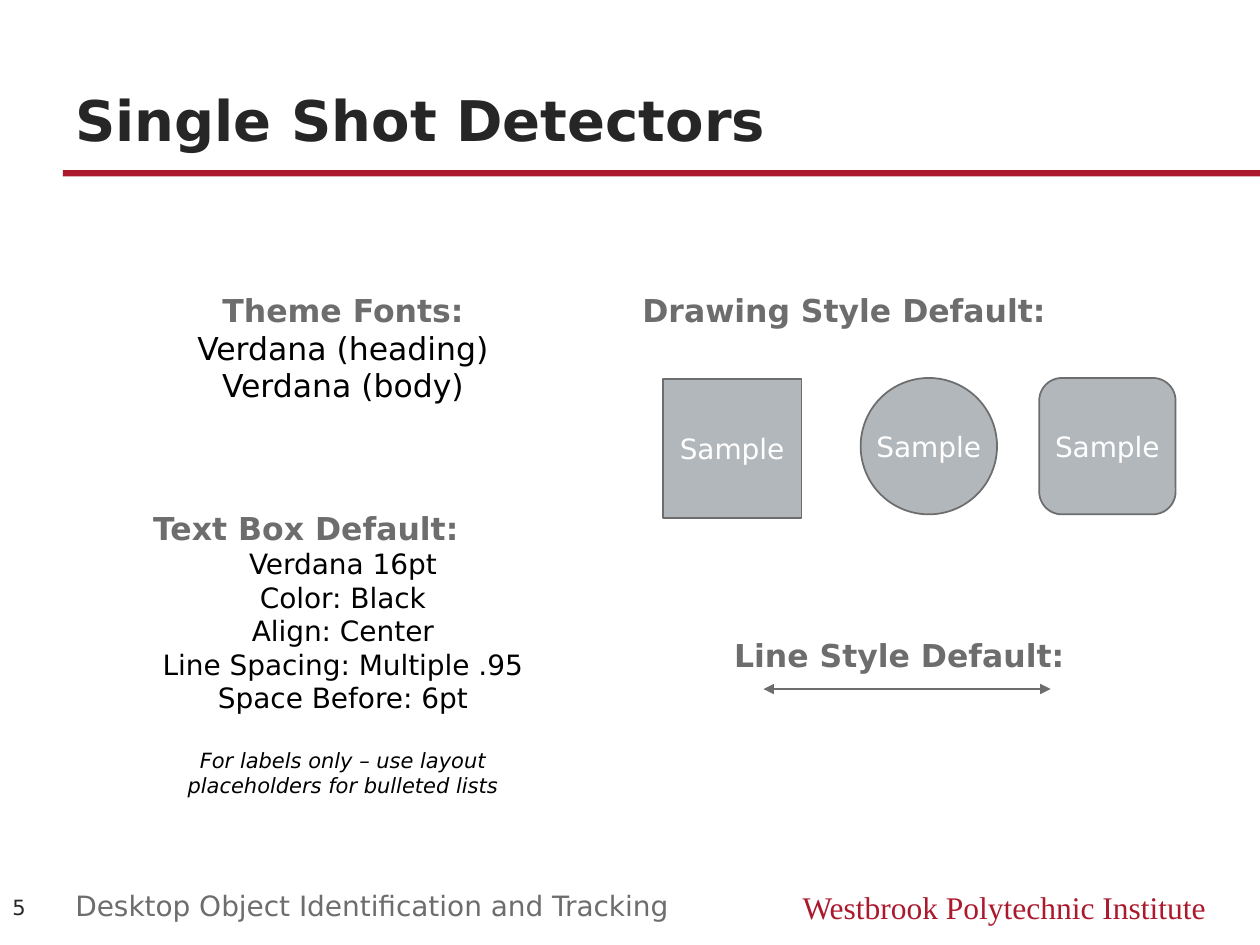
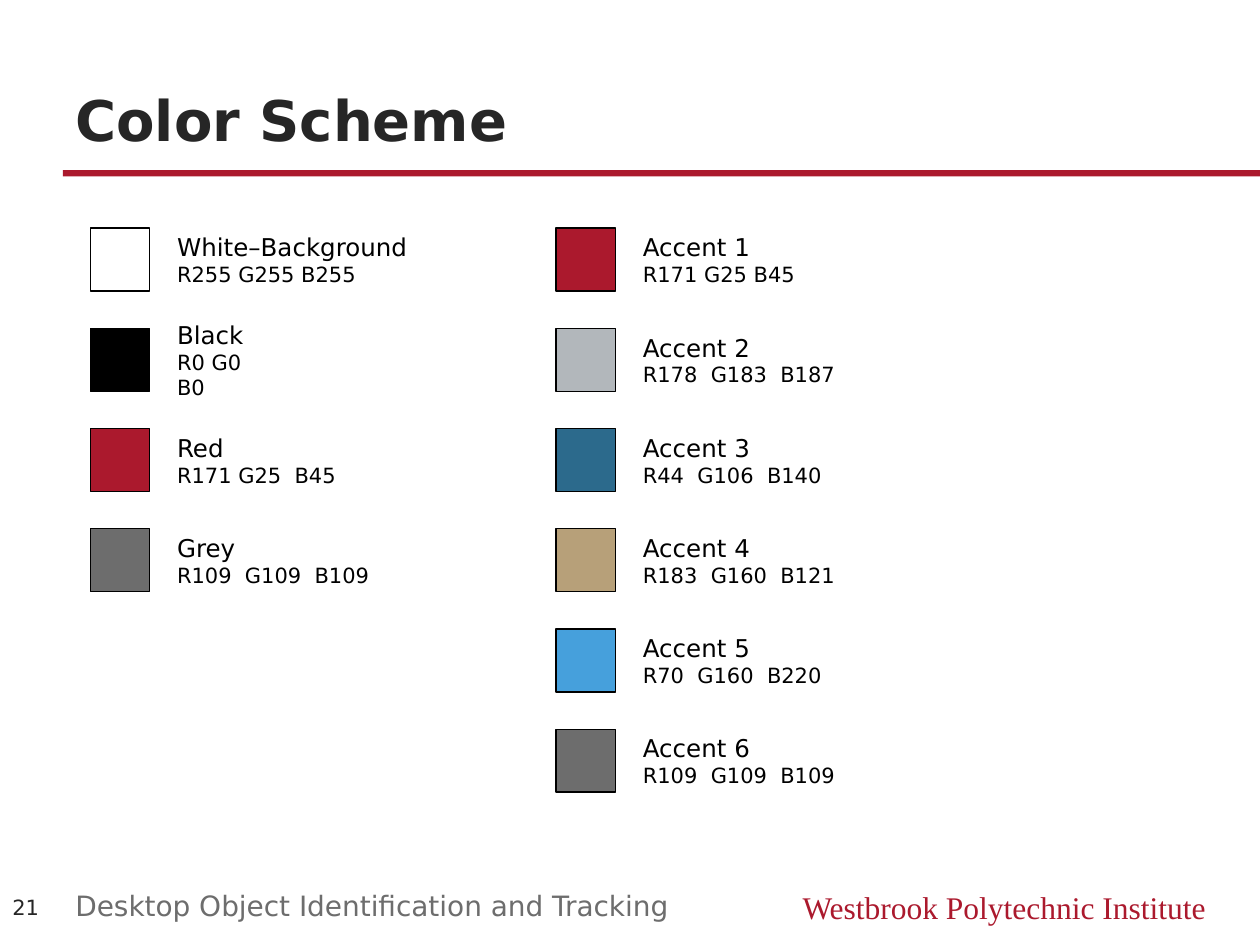
from lxml import etree
from pptx import Presentation
from pptx import util as u
from pptx.dml.color import RGBColor
from pptx.enum import shapes, text
from pptx.oxml import ns

COLORS = {
    "white": "FFFFFF", "black": "000000", "red": "AB192D", "grey": "6D6D6D",
    "silver": "B2B7BB", "teal": "2C6A8C", "tan": "B7A079", "sky": "46A0DC",
    "title": "262626",
}
SANS, SERIF = "DejaVu Sans", "Times New Roman"
LEFT, CENTER, RIGHT = text.PP_ALIGN.LEFT, text.PP_ALIGN.CENTER, text.PP_ALIGN.RIGHT
TOP, MIDDLE, BOTTOM = (text.MSO_ANCHOR.TOP, text.MSO_ANCHOR.MIDDLE,
                       text.MSO_ANCHOR.BOTTOM)
RECTANGLE = shapes.MSO_SHAPE.RECTANGLE

# Swatch grid, in centimetres
SWATCH_TOP, SWATCH_STEP = 4.6, 2.02
SWATCH_WIDTH, SWATCH_HEIGHT = 1.2, 1.27
LABEL_OFFSET, LABEL_HEIGHT = 1.5, 1.37

# Each swatch: fill, name, values, label width
BASE_SWATCHES = [
    ("white", "White–Background", "R255 G255 B255", 5.23),
    ("black", "Black", "R0 G0 B0", 2.39),
    ("red", "Red", "R171 G25  B45", 3.78),
    ("grey", "Grey", "R109  G109  B109", 4.65),
]
ACCENT_SWATCHES = [
    ("red", "Accent 1", "R171 G25 B45", 3.63),
    ("silver", "Accent 2", "R178  G183  B187", 4.5),
    ("teal", "Accent 3", "R44  G106  B140", 4.22),
    ("tan", "Accent 4", "R183  G160  B121", 4.5),
    ("sky", "Accent 5", "R70  G160  B220", 4.22),
    ("grey", "Accent 6", "R109  G109  B109", 4.5),
]


def rgb(name):
    return RGBColor.from_string(COLORS[name])


def lengths(box):
    return [u.Cm(value) for value in box]


def add_run(paragraph, wording, size, color="black", font=SANS, bold=False, italic=False):
    run = paragraph.add_run()
    run.text = wording
    run.font.name = font
    run.font.size = u.Pt(size)
    run.font.bold = bold
    run.font.italic = italic
    run.font.color.rgb = rgb(color)


def add_text(slide, box, lines, align=LEFT, anchor=TOP):
    """Add a text box; each line is (wording, size, run options), one paragraph each."""
    frame = slide.shapes.add_textbox(*lengths(box)).text_frame
    frame.word_wrap = True
    frame.vertical_anchor = anchor
    for index, (wording, size, options) in enumerate(lines):
        paragraph = frame.add_paragraph() if index else frame.paragraphs[0]
        paragraph.alignment = align
        add_run(paragraph, wording, size, **options)
    return frame


def add_filled_shape(slide, kind, box, fill, line=None, line_width=1):
    shape = slide.shapes.add_shape(kind, *lengths(box))
    shape.shadow.inherit = False
    shape.fill.solid()
    shape.fill.fore_color.rgb = rgb(fill)
    if line:
        shape.line.color.rgb = rgb(line)
        shape.line.width = u.Pt(line_width)
    else:
        shape.line.fill.background()
    return shape


def add_sample(slide, kind, box):
    frame = add_filled_shape(slide, kind, box, "silver", "grey").text_frame
    frame.word_wrap = False
    frame.vertical_anchor = MIDDLE
    frame.paragraphs[0].alignment = CENTER
    add_run(frame.paragraphs[0], "Sample", 16, "white")


def add_double_arrow(slide, left, right, top):
    connector = slide.shapes.add_connector(
        shapes.MSO_CONNECTOR.STRAIGHT, *lengths((left, top, right, top)))
    connector.line.color.rgb = rgb("grey")
    connector.line.width = u.Pt(1.5)
    outline = connector.line._get_or_add_ln()
    for end in ("a:headEnd", "a:tailEnd"):
        etree.SubElement(outline, ns.qn(end), type="triangle")
    etree.SubElement(connector._element.spPr, ns.qn("a:effectLst"))


def add_swatch_column(slide, left, swatches):
    for row, (fill, name, values, label_width) in enumerate(swatches):
        top = SWATCH_TOP + row * SWATCH_STEP
        add_filled_shape(slide, RECTANGLE, (left, top, SWATCH_WIDTH, SWATCH_HEIGHT),
                         fill, "black", 0.75)
        label_top = top - (LABEL_HEIGHT - SWATCH_HEIGHT) / 2
        add_text(slide, (left + LABEL_OFFSET, label_top, label_width, LABEL_HEIGHT),
                 [(name, 14, {}), (values, 12, {})], anchor=MIDDLE)


def add_base_slide(presentation, title, number):
    """Add a blank slide with the title, the red rule and the footer."""
    slide = presentation.slides.add_slide(presentation.slide_layouts[6])
    add_filled_shape(slide, RECTANGLE, (1.27, 3.43, 24.13, 0.13), "red")
    add_text(slide, (15.24, 17.78, 9.32, 1.02),
             [("Westbrook Polytechnic Institute", 18, {"color": "red", "font": SERIF})],
             align=RIGHT)
    add_text(slide, (1.27, 0.97, 22.86, 2.24),
             [(title, 32, {"color": "title", "bold": True})], anchor=BOTTOM)
    add_text(slide, (0, 17.75, 1.27, 1.09),
             [(str(number), 12, {"color": "title"})], anchor=MIDDLE)
    add_text(slide, (1.27, 17.78, 14.17, 0.84),
             [("Desktop Object Identification and Tracking", 16, {"color": "grey"})])
    return slide


def build_style_slide(presentation):
    slide = add_base_slide(presentation, "Single Shot Detectors", 5)
    heading = {"color": "grey", "bold": True}

    add_text(slide, (2.84, 5.74, 8.15, 2.57), [
        ("Theme Fonts:", 18, heading),
        ("Verdana (heading)", 18, {}),
        ("Verdana (body)", 18, {}),
    ], align=CENTER)

    defaults = ["Verdana 16pt", "Color: Black", "Align: Center",
                "Line Spacing: Multiple .95", "Space Before: 6pt"]
    frame = add_text(slide, (2.84, 10.13, 8.15, 6.15), [
        ("Text Box Default:", 18, heading),
        *[(wording, 16, {}) for wording in defaults],
        ("For labels only – use layout placeholders for bulleted lists", 12,
         {"italic": True}),
    ], align=CENTER)
    frame.paragraphs[0].alignment = LEFT
    frame.paragraphs[-1].space_before = u.Pt(19)

    add_text(slide, (12.7, 5.74, 11.18, 1.6), [("Drawing Style Default:", 18, heading)])
    add_sample(slide, RECTANGLE, (13.36, 7.64, 2.8, 2.8))
    add_sample(slide, shapes.MSO_SHAPE.OVAL, (17.35, 7.62, 2.75, 2.75))
    add_sample(slide, shapes.MSO_SHAPE.ROUNDED_RECTANGLE, (20.95, 7.62, 2.75, 2.75))

    add_text(slide, (14.55, 12.7, 7.47, 1.6), [("Line Style Default:", 18, heading)])
    add_double_arrow(slide, 15.39, 21.18, 13.89)


def build_color_slide(presentation):
    slide = add_base_slide(presentation, "Color Scheme", 21)
    add_swatch_column(slide, 1.82, BASE_SWATCHES)
    add_swatch_column(slide, 11.21, ACCENT_SWATCHES)


def main():
    presentation = Presentation()
    presentation.slide_width = u.Cm(25.4)
    presentation.slide_height = u.Cm(19.05)
    build_style_slide(presentation)
    build_color_slide(presentation)
    presentation.save("out.pptx")


if __name__ == "__main__":
    main()
